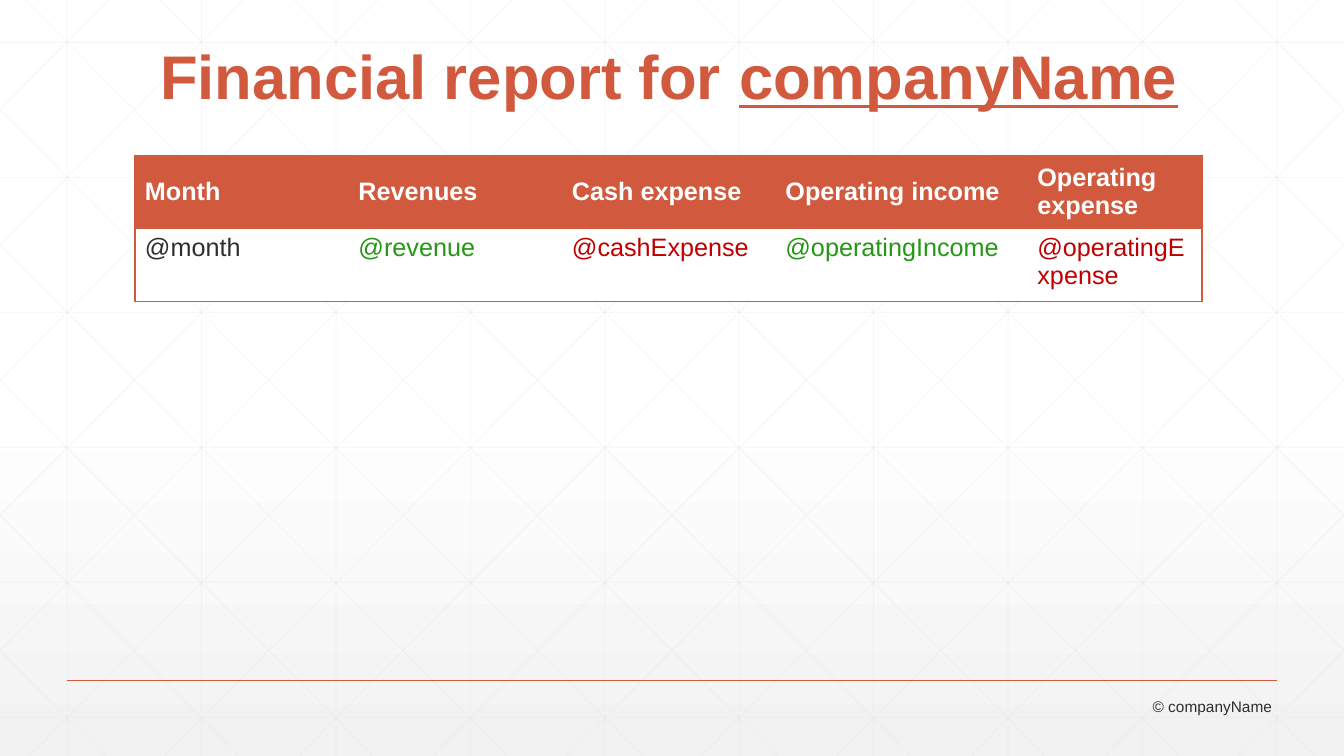
from copy import deepcopy
from dataclasses import dataclass

from pptx import Presentation
from pptx.dml.color import RGBColor as RGB
from pptx.enum.shapes import MSO_CONNECTOR as CONN
from pptx.enum.text import MSO_ANCHOR as ANCHOR, PP_ALIGN as ALIGN
from pptx.oxml.ns import qn
from pptx.util import Cm, Pt
from lxml.etree import SubElement


@dataclass(frozen=True)
class Theme:
    font: str = "Arial"
    accent: str = "D15A3E"
    text: str = "2D2E2D"
    income: str = "249814"
    expense: str = "C00000"
    white: str = "FFFFFF"
    shade: str = "F2F2F2"
    grid: str = "D9D9D9"
    title_size: int = 44
    table_size: int = 18
    footer_size: int = 11


T = Theme()

# Content
TITLE = [("Financial report for ", False), ("companyName", True)]  # text, underlined
FOOTER = "© companyName"
COLUMNS = [  # heading, value, value colour, width in cm
    ("Month", "@month", T.text, 5.38),
    ("Revenues", "@revenue", T.income, 5.38),
    ("Cash expense", "@cashExpense", T.expense, 5.38),
    ("Operating income", "@operatingIncome", T.income, 6.35),
    ("Operating expense", "@operatingExpense", T.expense, 4.4),
]

# Layout in cm
W, H = 33.87, 19.05
PITCH = W / 10
ROW_H = 1.84

prs = Presentation()
prs.slide_width, prs.slide_height = Cm(W), Cm(H)
s = prs.slides.add_slide(prs.slide_layouts[6])


def add_line(x1, y1, x2, y2, color, width, alpha=None):
    c = s.shapes.add_connector(CONN.STRAIGHT, Cm(x1), Cm(y1), Cm(x2), Cm(y2))
    c.line.color.rgb = RGB.from_string(color)
    c.line.width = Pt(width)
    if alpha:
        rgb = next(c.line._ln.iter(qn("a:srgbClr")))
        SubElement(rgb, qn("a:alpha"), val=str(alpha * 1000))
    SubElement(c._element.spPr, qn("a:effectLst"))


def style(r, size, color, bold=False, underline=None):
    f = r.font
    f.name, f.size, f.bold, f.underline = T.font, Pt(size), bold, underline
    f.color.rgb = RGB.from_string(color)


def add_text(x, y, w, h, parts, align, anchor, size, color, bold=False):
    tf = s.shapes.add_textbox(Cm(x), Cm(y), Cm(w), Cm(h)).text_frame
    tf.word_wrap = True
    tf.vertical_anchor = anchor
    p = tf.paragraphs[0]
    p.alignment = align
    for text, underline in parts:
        r = p.add_run()
        r.text = text
        style(r, size, color, bold, underline or None)
    return p


def set_borders(cell, visible):
    tc_pr = cell._tc.get_or_add_tcPr()
    for i, side in enumerate(("L", "R", "T", "B")):
        ln = SubElement(tc_pr, qn(f"a:ln{side}"), w=str(Pt(1)))
        if side in visible:
            fill = SubElement(ln, qn("a:solidFill"))
            SubElement(fill, qn("a:srgbClr"), val=T.accent)
        else:
            SubElement(ln, qn("a:noFill"))
        tc_pr.insert(i, ln)


# Background: white, then fading to grey from just below the middle
bg = s.background.fill
bg.gradient()
bg.gradient_angle = 270
stops = bg.gradient_stops
for stop, color in zip(stops, (T.white, T.shade)):
    stop.color.rgb = RGB.from_string(color)
first = stops[0]._gs
first.addnext(deepcopy(first))
bg.gradient_stops[1].position = 0.53

# Background grid: verticals, horizontals, then mirrored diagonals cut at the edges
grid = [((i + 0.5) * PITCH, 0, (i + 0.5) * PITCH, H) for i in range(10)]
grid += [(0, 1.07 + 3.4 * i, W, 1.07 + 3.4 * i) for i in range(6)]
RUN = 0.994  # horizontal run per unit of fall
for k in range(-5, 10):
    x0 = 0.64 + k * PITCH
    top = max(0, -x0 / RUN)
    bottom = min(H, (W - x0) / RUN)
    left, right = x0 + top * RUN, x0 + bottom * RUN
    grid += [(left, top, right, bottom), (W - left, top, W - right, bottom)]
for ends in grid:
    add_line(*ends, T.grid, 0.5, alpha=25)

# Footer rule and title
add_line(PITCH / 2, 17.15, W - PITCH / 2, 17.15, T.accent, 1)
p = add_text(0.97, 0.56, 31.78, 2.41, TITLE, ALIGN.CENTER, ANCHOR.BOTTOM,
             T.title_size, T.accent, bold=True)
p.line_spacing = 0.9

# Report table
widths = [col[3] for col in COLUMNS]
tbl = s.shapes.add_table(2, len(COLUMNS), Cm(3.4), Cm(3.91),
                         Cm(sum(widths)), Cm(2 * ROW_H)).table
tbl.horz_banding = False
for row in tbl.rows:
    row.height = Cm(ROW_H)
for j, (heading, value, color, width) in enumerate(COLUMNS):
    tbl.columns[j].width = Cm(width)
    sides = "TB" + ("L" if j == 0 else "") + ("R" if j == len(COLUMNS) - 1 else "")
    rows = [(heading, T.white, T.accent, True, ANCHOR.MIDDLE),
            (value, color, T.white, False, ANCHOR.TOP)]
    for i, (text, ink, fill, bold, anchor) in enumerate(rows):
        cell = tbl.cell(i, j)
        cell.text_frame.text = text
        cell.vertical_anchor = anchor
        cell.fill.solid()
        cell.fill.fore_color.rgb = RGB.from_string(fill)
        style(cell.text_frame.paragraphs[0].runs[0], T.table_size, ink, bold)
        set_borders(cell, sides)

# Footer
add_text(27.2, 17.45, 5.11, 0.74, [(FOOTER, False)], ALIGN.RIGHT, ANCHOR.TOP,
         T.footer_size, T.text)

prs.save("out.pptx")
